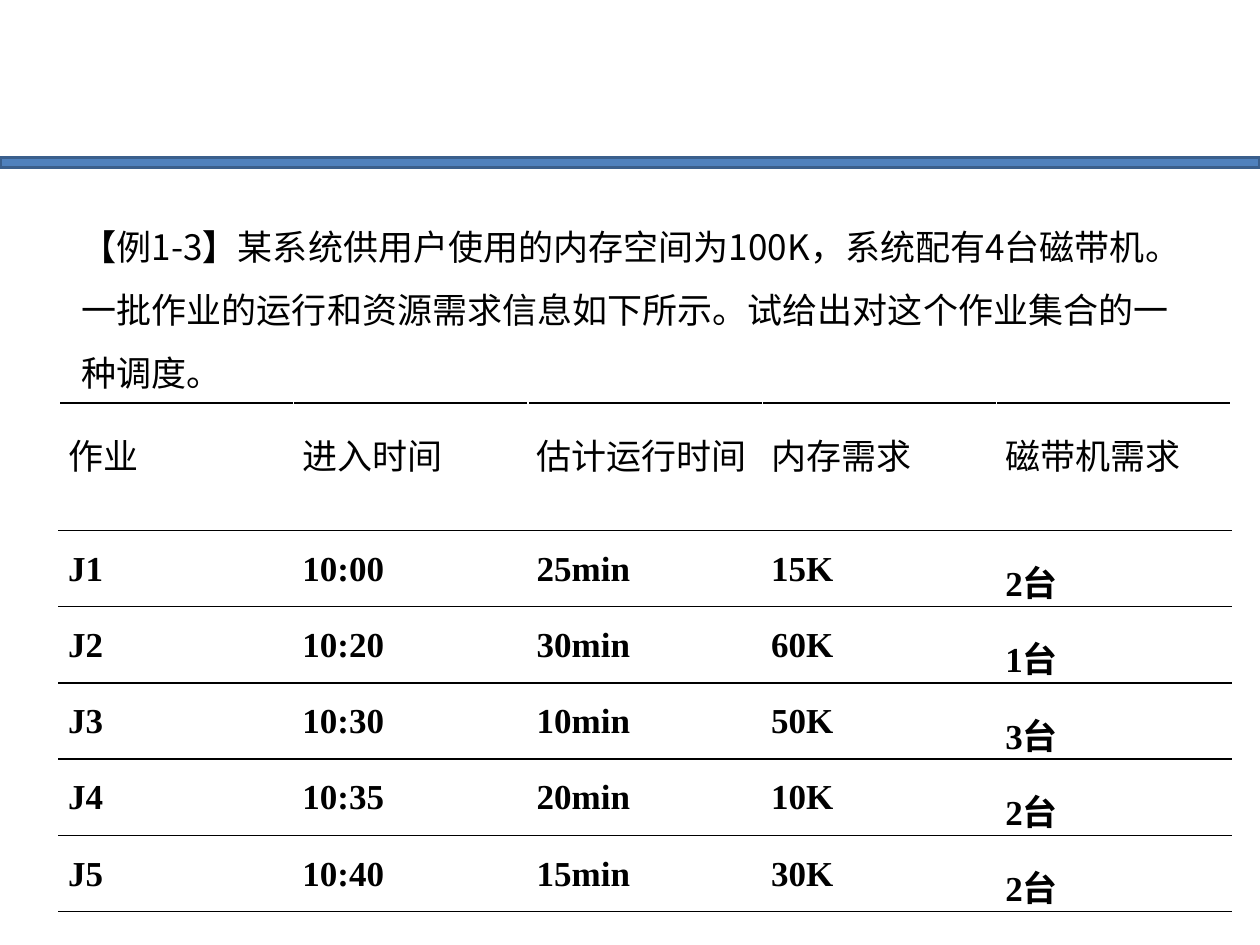
from dataclasses import astuple, dataclass

from lxml.etree import SubElement
from pptx import Presentation
from pptx.dml.color import RGBColor
from pptx.enum.shapes import MSO_SHAPE
from pptx.enum.text import MSO_ANCHOR, PP_ALIGN
from pptx.oxml import parse_xml
from pptx.oxml.ns import nsdecls, qn
from pptx.slide import Slide
from pptx.table import _Cell
from pptx.text.text import _Paragraph
from pptx.util import Inches, Pt

BLACK = RGBColor(0x00, 0x00, 0x00)
BAND_FILL = RGBColor(0x4F, 0x81, 0xBD)
BAND_LINE = RGBColor(0x3A, 0x5F, 0x8C)
CHINESE_FONT = "Noto Sans CJK SC"
LATIN_FONT = "Times New Roman"


@dataclass
class Job:
    name: str
    entry_time: str
    run_time: str
    memory: str
    tape_drives: str


@dataclass
class TextRun:
    text: str
    bold: bool


HEADER = Job("作业", "进入时间", "估计运行时间", "内存需求", "磁带机需求")
JOBS = [
    Job("J1", "10:00", "25min", "15K", "2台"),
    Job("J2", "10:20", "30min", "60K", "1台"),
    Job("J3", "10:30", "10min", "50K", "3台"),
    Job("J4", "10:35", "20min", "10K", "2台"),
    Job("J5", "10:40", "15min", "30K", "2台"),
]
QUESTION = [
    TextRun("【", True),
    TextRun("例1-3", False),
    TextRun("】", True),
    TextRun(
        "某系统供用户使用的内存空间为100K，系统配有4台磁带机。"
        "一批作业的运行和资源需求信息如下所示。试给出对这个作业集合的一种调度。",
        False,
    ),
]


def add_run(paragraph: _Paragraph, text_run: TextRun, latin_font: str) -> None:
    run = paragraph.add_run()
    run.text = text_run.text
    run.font.size = Pt(20)
    run.font.bold = text_run.bold
    run.font.color.rgb = BLACK
    run.font.name = latin_font
    east_asian = SubElement(run.font._element, qn("a:ea"))
    east_asian.set("typeface", CHINESE_FONT)


def add_band(slide: Slide) -> None:
    band = slide.shapes.add_shape(
        MSO_SHAPE.RECTANGLE, Inches(0), Inches(1.25), Inches(10), Inches(0.08)
    )
    band.shadow.inherit = False
    band.fill.solid()
    band.fill.fore_color.rgb = BAND_FILL
    band.line.color.rgb = BAND_LINE
    band.line.width = Pt(2)


def add_question(slide: Slide) -> None:
    box = slide.shapes.add_textbox(
        Inches(0.55), Inches(1.56), Inches(8.83), Inches(1.62)
    )
    frame = box.text_frame
    frame.word_wrap = True
    frame.vertical_anchor = MSO_ANCHOR.MIDDLE
    paragraph = frame.paragraphs[0]
    paragraph.line_spacing = 1.5
    for text_run in QUESTION:
        add_run(paragraph, text_run, CHINESE_FONT)


def add_rules(cell: _Cell) -> None:
    properties = cell._tc.get_or_add_tcPr()
    for position, side in enumerate(("lnT", "lnB")):
        rule = parse_xml(
            f'<a:{side} {nsdecls("a")} w="{Pt(1)}"><a:solidFill>'
            f'<a:srgbClr val="{BLACK}"/></a:solidFill></a:{side}>'
        )
        properties.insert(position, rule)


def fill_cell(cell: _Cell, text_run: TextRun) -> None:
    cell.margin_left = cell.margin_right = Inches(0.07)
    cell.margin_top = cell.margin_bottom = Inches(0)
    cell.fill.background()
    add_rules(cell)
    paragraph = cell.text_frame.paragraphs[0]
    paragraph.alignment = PP_ALIGN.JUSTIFY
    paragraph.line_spacing = 1.5
    add_run(paragraph, text_run, LATIN_FONT)


def add_job_table(slide: Slide) -> None:
    rows = [HEADER, *JOBS]
    table = slide.shapes.add_table(
        len(rows), 5, Inches(0.47), Inches(3.2), Inches(9.3), Inches(3.71)
    ).table
    table.first_row = False
    table.horz_banding = False
    for column in table.columns:
        column.width = Inches(1.86)
    for row_index, job in enumerate(rows):
        is_header = row_index == 0
        table.rows[row_index].height = Inches(1.01 if is_header else 0.54)
        for column_index, text in enumerate(astuple(job)):
            cell = table.cell(row_index, column_index)
            fill_cell(cell, TextRun(text, not is_header))


def main() -> None:
    presentation = Presentation()
    presentation.slide_width = Inches(10)
    presentation.slide_height = Inches(7.5)
    slide = presentation.slides.add_slide(presentation.slide_layouts[6])
    add_band(slide)
    add_job_table(slide)
    add_question(slide)
    presentation.save("out.pptx")


if __name__ == "__main__":
    main()
